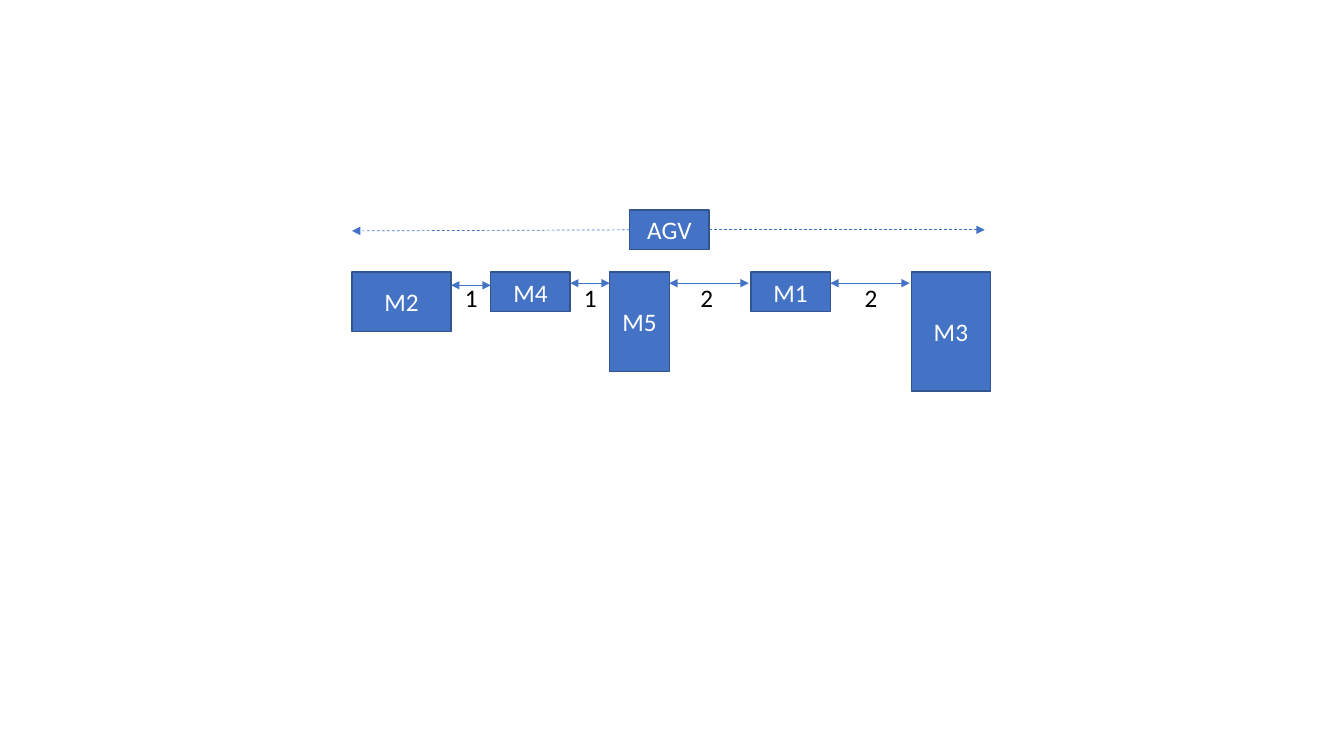
from dataclasses import dataclass

from lxml.etree import SubElement
from pptx import Presentation
from pptx.dml.color import RGBColor as Rgb
from pptx.enum.dml import MSO_LINE as Dash
from pptx.enum.shapes import MSO_CONNECTOR as Conn, MSO_SHAPE as Kind
from pptx.enum.text import MSO_ANCHOR as Anchor, MSO_AUTO_SIZE as Fit, PP_ALIGN as Align
from pptx.oxml.ns import qn
from pptx.slide import Slide
from pptx.text.text import TextFrame
from pptx.util import Pt


@dataclass(frozen=True)
class Theme:
    fill: Rgb = Rgb(0x44, 0x72, 0xC4)
    edge: Rgb = Rgb(0x32, 0x54, 0x91)
    light: Rgb = Rgb(0xFF, 0xFF, 0xFF)
    dark: Rgb = Rgb(0, 0, 0)
    font: str = "Calibri"
    size: float = 18
    border: float = 1
    thin: float = 0.5


@dataclass(frozen=True)
class Box:
    name: str
    left: float
    top: float
    cols: int
    rows: int

    @property
    def right(self) -> float:
        return self.left + self.cols * UNIT

    @property
    def mid(self) -> float:
        return self.top + self.rows * UNIT / 2


@dataclass(frozen=True)
class Gap:
    start: Box
    dist: int
    line: float  # height of the arrow
    inset: float  # label offset from the start box
    wide: float  # label width


THEME = Theme()
UNIT = 14.17  # half a centimetre: one layout cell
STEP = 2 * UNIT  # one unit of distance
TOP = 194.4
LABEL = 198

# Machines along the row, and the vehicle above them
M2 = Box("M2", 251.4, TOP, 5, 3)
M4 = Box("M4", 350.6, TOP, 4, 2)
M5 = Box("M5", 435.6, TOP, 3, 5)
M1 = Box("M1", 536.4, TOP, 4, 2)
M3 = Box("M3", 650.9, TOP, 4, 6)
AGV = Box("AGV", 449.8, 150, 4, 2)

GAPS = [
    Gap(M2, 1, 203.8, 3.2, 13.7),
    Gap(M4, 1, 202.3, 3.2, 13.7),
    Gap(M5, 2, 202.3, 15.1, 23),
    Gap(M1, 2, 202.3, 17.5, 23),
]


def write(frame: TextFrame, text: str, color: Rgb, align: Align) -> None:
    frame.word_wrap = True
    part = frame.paragraphs[0]
    part.alignment = align
    run = part.add_run()
    run.text = text
    run.font.name = THEME.font
    run.font.size = Pt(THEME.size)
    run.font.color.rgb = color


def draw_box(slide: Slide, box: Box) -> None:
    shape = slide.shapes.add_shape(
        Kind.RECTANGLE, Pt(box.left), Pt(box.top), Pt(box.cols * UNIT), Pt(box.rows * UNIT))
    shape.shadow.inherit = False
    shape.fill.solid()
    shape.fill.fore_color.rgb = THEME.fill
    shape.line.color.rgb = THEME.edge
    shape.line.width = Pt(THEME.border)
    shape.text_frame.vertical_anchor = Anchor.MIDDLE
    write(shape.text_frame, box.name, THEME.light, Align.CENTER)


def draw_line(slide: Slide, x1: float, y1: float, x2: float, y2: float,
              ends: tuple[str, ...], dash: bool = False) -> None:
    link = slide.shapes.add_connector(Conn.STRAIGHT, Pt(x1), Pt(y1), Pt(x2), Pt(y2))
    link.line.color.rgb = THEME.fill
    link.line.width = Pt(THEME.thin)
    if dash:
        link.line.dash_style = Dash.DASH
    props = link.line._get_or_add_ln()
    for end in ends:
        SubElement(props, qn(end), type="triangle")
    SubElement(link._element.spPr, qn("a:effectLst"))


def draw_gap(slide: Slide, gap: Gap) -> None:
    left = gap.start.right
    draw_line(slide, left, gap.line, left + gap.dist * STEP, gap.line,
              ("a:headEnd", "a:tailEnd"))
    label = slide.shapes.add_textbox(
        Pt(left + gap.inset), Pt(LABEL), Pt(gap.wide), Pt(29))
    label.text_frame.auto_size = Fit.SHAPE_TO_FIT_TEXT
    write(label.text_frame, str(gap.dist), THEME.dark, Align.LEFT)


def main() -> None:
    deck = Presentation()
    deck.slide_width, deck.slide_height = Pt(960), Pt(540)
    slide = deck.slides.add_slide(deck.slide_layouts[6])

    # Machines and vehicle
    for box in (M1, M2, M3, M4, M5, AGV):
        draw_box(slide, box)

    # Distances between neighbours
    for gap in GAPS:
        draw_gap(slide, gap)

    # Travel range of the vehicle
    draw_line(slide, AGV.right, AGV.mid, 703.4, AGV.mid, ("a:tailEnd",), True)
    draw_line(slide, AGV.left, AGV.mid, M2.left, AGV.mid + 0.8, ("a:tailEnd",), True)

    deck.save("out.pptx")


if __name__ == "__main__":
    main()
